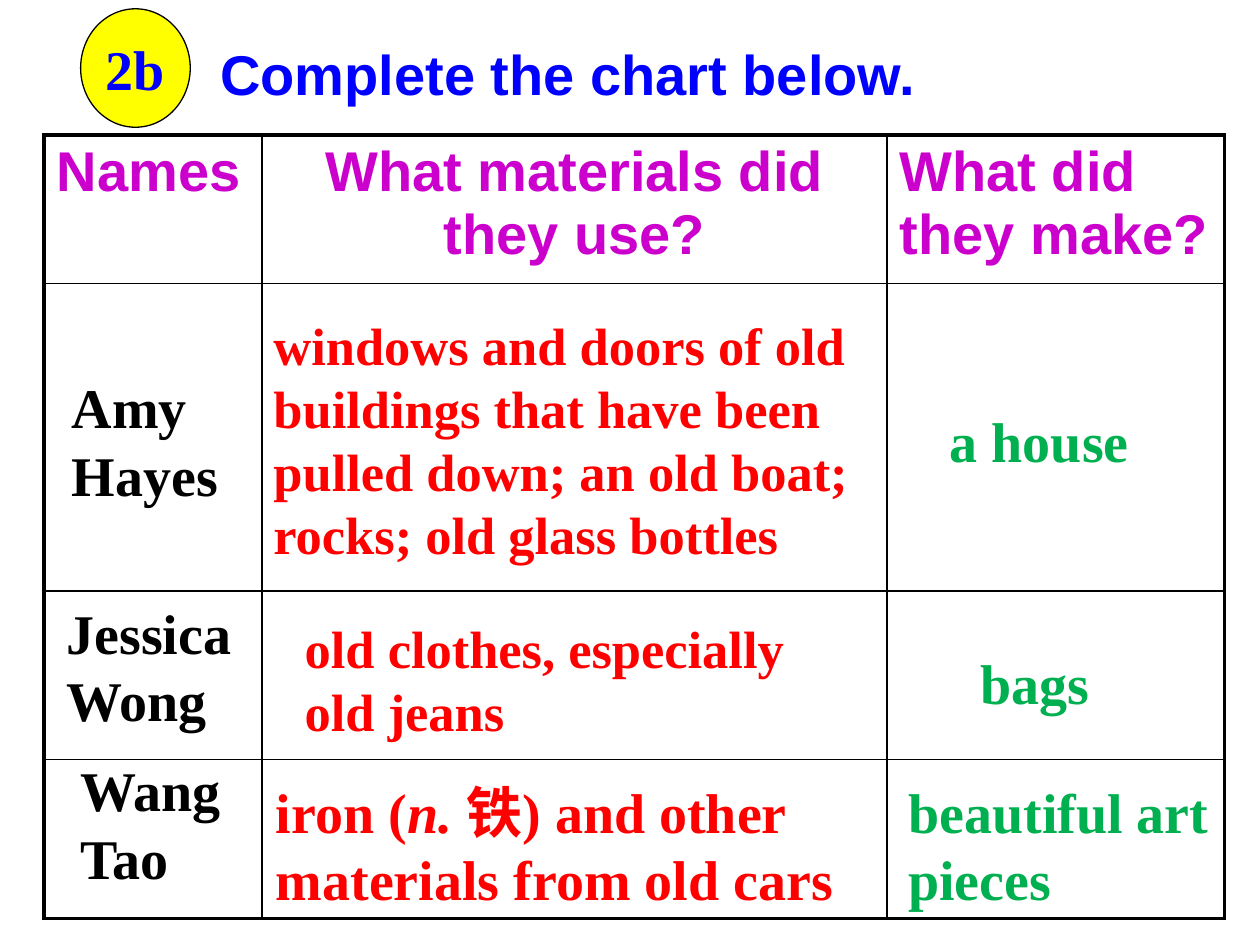
from pptx import Presentation
from pptx import util as u
from pptx.dml.color import RGBColor
from pptx.enum import shapes, text
from pptx.oxml.ns import qn
from lxml import etree

Pt = u.Pt
HUES = {"ink": "000000", "head": "CC00CC", "blue": "0000FF", "red": "FF0000",
        "green": "00B050", "sun": "FFFF00"}
SERIF, SANS = "Times New Roman", "Arial"
LEFT, MID = text.PP_ALIGN.LEFT, text.PP_ALIGN.CENTER


def write(para, words, hue, face=SERIF, size=32, align=LEFT, slant=False):
    para.alignment = align
    run = para.add_run()
    run.text = words
    font = run.font
    font.name, font.size, font.bold, font.italic = face, Pt(size), True, slant
    font.color.rgb = RGBColor.from_string(HUES[hue])


def edge(cell, tag, width):
    line = etree.SubElement(cell._tc.get_or_add_tcPr(), qn("a:" + tag), w=str(Pt(width)))
    fill = etree.SubElement(line, qn("a:solidFill"))
    etree.SubElement(fill, qn("a:srgbClr"), val=HUES["ink"])


deck = Presentation()
deck.slide_width, deck.slide_height = Pt(720), Pt(540)
slide = deck.slides.add_slide(deck.slide_layouts[6])

# Table grid: thick outside, thin inside
cols = [124.56, 357.12, 192.96]
rows = [84.96, 175.68, 96.48, 90.72]
frame = slide.shapes.add_table(len(rows), len(cols), Pt(25.2), Pt(77.04),
                               Pt(sum(cols)), Pt(sum(rows)))
grid = frame.table
grid.first_row = grid.horz_banding = False
for col, width in zip(grid.columns, cols):
    col.width = Pt(width)
for row, height in zip(grid.rows, rows):
    row.height = Pt(height)
for r in range(len(rows)):
    for c in range(len(cols)):
        cell = grid.cell(r, c)
        outer = {"lnL": c == 0, "lnR": c == len(cols) - 1,
                 "lnT": r == 0, "lnB": r == len(rows) - 1}
        for tag, thick in outer.items():
            edge(cell, tag, 2.25 if thick else 1)
        cell.fill.background()

# Table header
heads = [("Names", LEFT), ("What materials did they use?", MID),
         ("What did they make?", LEFT)]
for c, (words, align) in enumerate(heads):
    write(grid.cell(0, c).text_frame.paragraphs[0], words, "head", SANS, align=align)

# Number badge
badge = slide.shapes.add_shape(shapes.MSO_SHAPE.OVAL, Pt(46.08), Pt(5.04),
                               Pt(62.64), Pt(67.68))
badge.shadow.inherit = False
badge.fill.solid()
badge.fill.fore_color.rgb = RGBColor.from_string(HUES["sun"])
badge.line.color.rgb = RGBColor.from_string(HUES["ink"])
badge.line.width = Pt(0.75)
badge.text_frame.word_wrap = False
badge.text_frame.vertical_anchor = text.MSO_ANCHOR.MIDDLE
write(badge.text_frame.paragraphs[0], "2b", "blue", align=MID)

# Title and answers: place, paragraphs, hue, face, size, line spacing, insets
notes = [
    ((118.8, 15.12, 601.2, 46.8), ["Complete the chart below."], "blue", SANS, 32, 1.1, None),
    ((33.84, 209.52, 108, 84.24), ["Amy", "Hayes"], "ink", SERIF, 32, 1, None),
    ((151.2, 175.68, 361.44, 150.48),
     ["windows and doors of old buildings that have been pulled down; "
      "an old boat; rocks; old glass bottles"], "red", SERIF, 30, 1, (5.04, 2.88)),
    ((535.68, 224.64, 141.84, 49.68), ["a house"], "green", SERIF, 32, 1.1, None),
    ((30.96, 338.4, 118.8, 84.24), ["Jessica Wong"], "ink", SERIF, 32, 1, None),
    ((167.04, 348.48, 311.76, 79.92), ["old clothes, especially old jeans"],
     "red", SERIF, 30, 1, None),
    ((552.96, 367.2, 136.08, 46.08), ["bags"], "green", SERIF, 32, 1, None),
    ((38.88, 428.4, 113.04, 84.24), ["Wang Tao"], "ink", SERIF, 32, 1, None),
    ((150.48, 440.64, 345.6, 84.24),
     [["iron (", "n. ", "铁) and other materials from old cars"]],
     "red", SERIF, 32, 1, None),
    ((511.92, 440.64, 192.96, 84.24), ["beautiful art pieces"], "green", SERIF, 32, 1, None),
]
for place, paras, hue, face, size, space, inset in notes:
    body = slide.shapes.add_textbox(*map(Pt, place)).text_frame
    body.word_wrap = True
    if inset:
        body.margin_left = body.margin_right = Pt(inset[0])
        body.margin_top = body.margin_bottom = Pt(inset[1])
    for n, words in enumerate(paras):
        para = body.add_paragraph() if n else body.paragraphs[0]
        para.line_spacing = space
        for part in [words] if isinstance(words, str) else words:
            write(para, part, hue, face, size, slant=part == "n. ")

deck.save("out.pptx")
